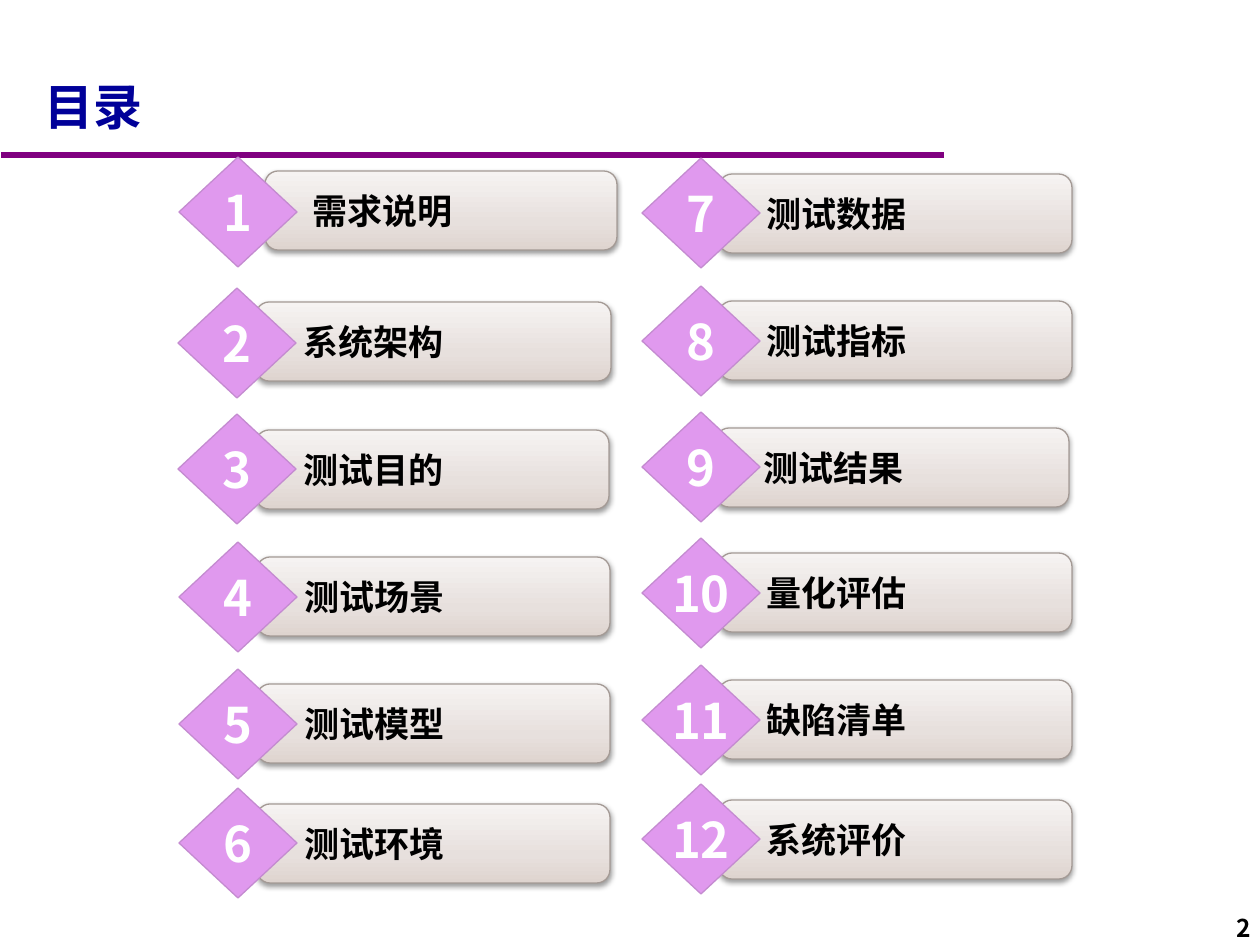
"""Build the contents slide: twelve numbered topics in two columns."""
from lxml import etree
from copy import deepcopy
from pptx import Presentation, util as u
from pptx.dml.color import RGBColor
from pptx.enum import shapes, text
from pptx.oxml.ns import qn

SCALE = 914400 // 126
FONT = "Noto Sans CJK SC"
COLORS = {"title": "000099", "rule": "800080", "ink": "000000", "number": "FFFFFF",
          "diamond": "E099EE", "diamond_edge": "C48BD0", "bar_edge": "A49A95"}
BAR_STOPS = [(0, "DED4CF"), (35, "E7E0DD"), (100, "F6F3F2")]
DIAMOND_SIZE = (118, 110)
BAR_HEIGHT = 79
TOPICS = [
    ("需求说明", (179, 157), (265, 171, 352)),
    ("系统架构", (178, 288), (256, 302, 355)),
    ("测试目的", (178, 414), (256, 430, 353)),
    ("测试场景", (179, 542), (257, 557, 353)),
    ("测试模型", (179, 669), (257, 684, 353)),
    ("测试环境", (179, 788), (257, 804, 353)),
    ("测试数据", (642, 158), (719, 174, 353)),
    ("测试指标", (642, 286), (719, 301, 353)),
    ("测试结果", (642, 412), (716, 428, 353)),
    ("量化评估", (642, 538), (719, 553, 353)),
    ("缺陷清单", (642, 665), (719, 680, 353)),
    ("系统评价", (642, 784), (719, 800, 353)),
]
ALIGN, ANCHOR = text.PP_ALIGN, text.MSO_ANCHOR
TITLE = {"size": 28, "color": "title", "anchor": ANCHOR.BOTTOM, "align": ALIGN.LEFT}
PAGE_NUMBER = {"size": 14, "color": "ink", "anchor": ANCHOR.BOTTOM, "align": ALIGN.RIGHT,
               "insets": (0, 0, 0, 0)}
LABEL = {"size": 20, "color": "ink", "anchor": ANCHOR.MIDDLE, "align": ALIGN.LEFT,
         "insets": (44, 6, 13, 6)}
NUMBER = {"size": 28, "color": "number", "anchor": ANCHOR.MIDDLE, "align": ALIGN.CENTER,
          "wrap": False}


def px(*values):
    return [round(value * SCALE) for value in values]


def rgb(name):
    return RGBColor.from_string(COLORS.get(name, name))


def write(shape, words, style):
    frame = shape.text_frame
    left, top, right, bottom = px(*style.get("insets", (13, 6, 13, 6)))
    values = {"margin_left": left, "margin_top": top, "margin_right": right,
              "margin_bottom": bottom, "word_wrap": style.get("wrap", True),
              "vertical_anchor": style["anchor"]}
    for name, value in values.items():
        setattr(frame, name, value)
    para = frame.paragraphs[0]
    para.alignment = style["align"]
    span = para.add_run()
    span.text = words
    for name, value in {"name": FONT, "size": u.Pt(style["size"]), "bold": True}.items():
        setattr(span.font, name, value)
    span.font.color.rgb = rgb(style["color"])
    etree.SubElement(span.font._element, qn("a:ea"), typeface=FONT)


def add_box(page, area, words, style):
    write(page.shapes.add_textbox(*px(*area)), words, style)


def add_shape(page, kind, area, edge):
    shape = page.shapes.add_shape(kind, *px(*area))
    shape.shadow.inherit = False
    shape.line.color.rgb = rgb(edge)
    shape.line.width = u.Pt(0.75)
    return shape


def shade_bar(bar):
    bar.fill.gradient()
    bar.fill.gradient_angle = 90
    first = bar.fill.gradient_stops[0]._gs
    first.addnext(deepcopy(first))
    for stop, (position, color) in zip(bar.fill.gradient_stops, BAR_STOPS):
        stop.position = position / 100
        stop.color.rgb = rgb(color)
    effects = bar._element.spPr.find(qn("a:effectLst"))
    shadow = etree.SubElement(effects, qn("a:outerShdw"), blurRad=str(u.Pt(3.1)),
                              dist=str(u.Pt(1.6)), dir="5400000", rotWithShape="0")
    color = etree.SubElement(shadow, qn("a:srgbClr"), val=COLORS["ink"])
    etree.SubElement(color, qn("a:alpha"), val="38000")


deck = Presentation()
deck.slide_width, deck.slide_height = px(1260, 945)
page = deck.slides.add_slide(deck.slide_layouts[6])

add_box(page, (897, 903, 354, 39), "2", PAGE_NUMBER)
rule = page.shapes.add_connector(shapes.MSO_CONNECTOR.STRAIGHT, *px(1, 155, 944, 155))
rule.line.color.rgb = rgb("rule")
rule.line.width = u.Pt(3)
etree.SubElement(rule._element.spPr, qn("a:effectLst"))
add_box(page, (32, 11, 911, 130), "目录", TITLE)

for number, (label, corner, (left, top, width)) in enumerate(TOPICS, 1):
    bar = add_shape(page, shapes.MSO_SHAPE.ROUNDED_RECTANGLE,
                    (left, top, width, BAR_HEIGHT), "bar_edge")
    shade_bar(bar)
    write(bar, label, LABEL)
    diamond = add_shape(page, shapes.MSO_SHAPE.DIAMOND, corner + DIAMOND_SIZE, "diamond_edge")
    diamond.fill.solid()
    diamond.fill.fore_color.rgb = rgb("diamond")
    write(diamond, str(number), NUMBER)

deck.save("out.pptx")
